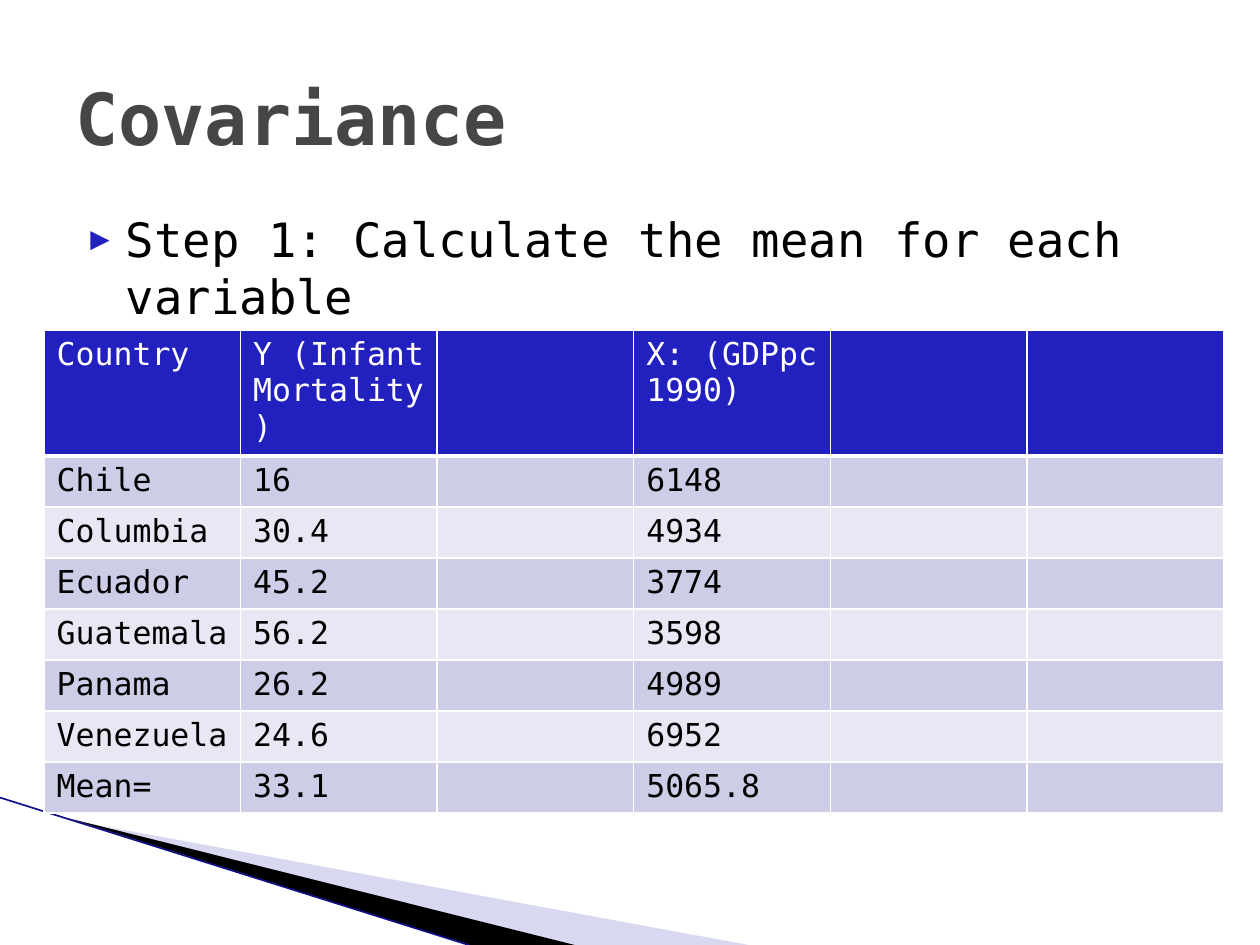
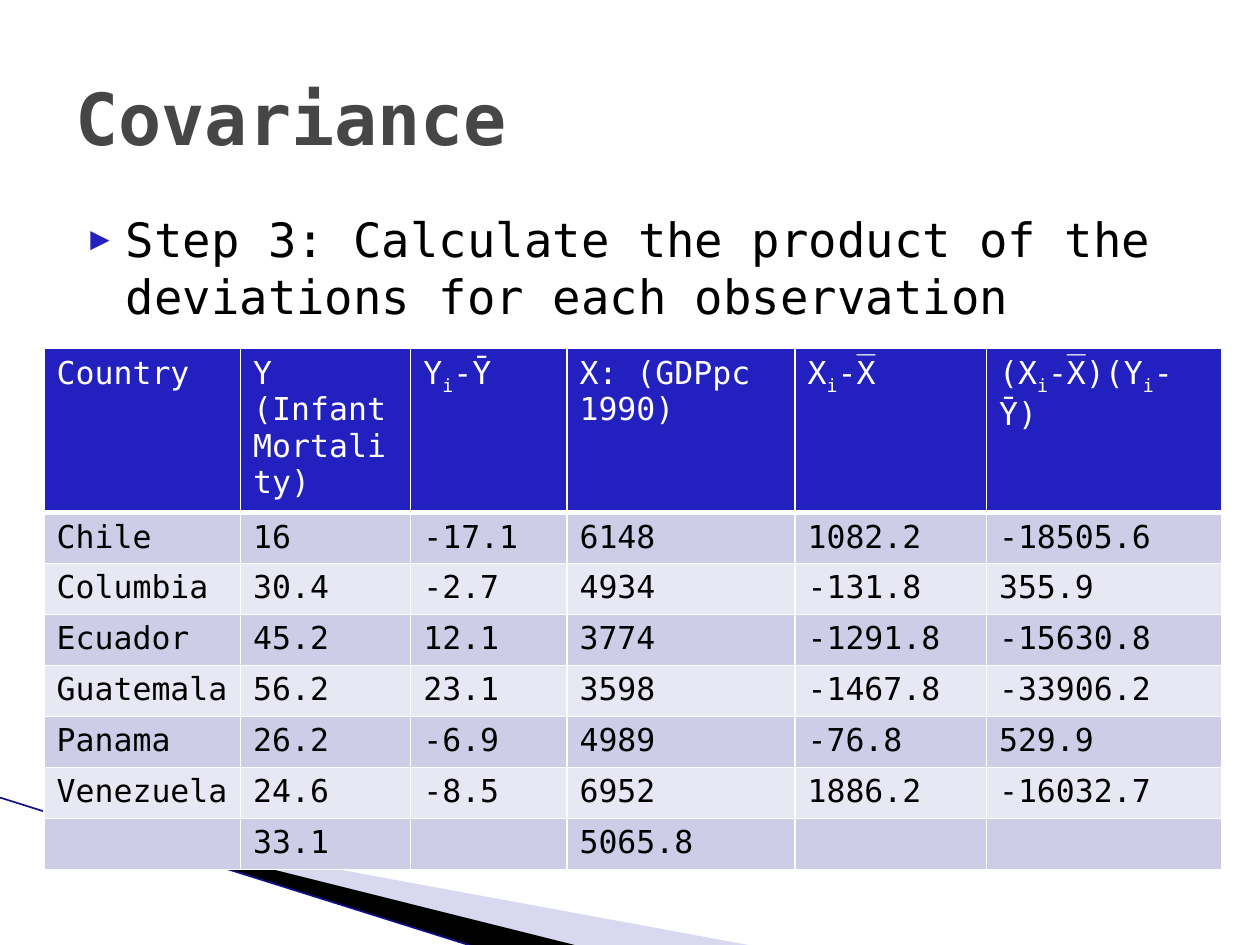
from dataclasses import dataclass

from lxml.etree import SubElement
from pptx import Presentation
from pptx.dml.color import RGBColor
from pptx.enum.shapes import MSO_CONNECTOR
from pptx.enum.text import MSO_ANCHOR
from pptx.oxml.ns import qn
from pptx.util import Inches, Pt

SLIDE_WIDTH, SLIDE_HEIGHT = Inches(10), Inches(7.5)
FONT = "DejaVu Sans Mono"
BLUE, LAVENDER, NAVY = "2221BF", "9F9FDC", "11108A"
BLACK, WHITE, GREY = "000000", "FFFFFF", "464646"
BANDS = ("CDCDE8", "E8E8F4")
ROW_HEIGHT = 0.054

COUNTRIES = [
    ("Chile", 16, 6148),
    ("Columbia", 30.4, 4934),
    ("Ecuador", 45.2, 3774),
    ("Guatemala", 56.2, 3598),
    ("Panama", 26.2, 4989),
    ("Venezuela", 24.6, 6952),
]
MEAN_Y, MEAN_X = 33.1, 5065.8
Y_HEADING, X_HEADING = "Y (Infant Mortality)", "X: (GDPpc 1990)"


@dataclass
class Box:
    left: float
    top: float
    width: float
    height: float

    def point(self, across, down):
        return (
            round(SLIDE_WIDTH * (self.left + across * self.width)),
            round(SLIDE_HEIGHT * (self.top + down * self.height)),
        )

    def frame(self):
        left, top = self.point(0, 0)
        right, bottom = self.point(1, 1)
        return left, top, right - left, bottom - top


TITLE_BOX = Box(0.05, 0.04, 0.9, 0.167)
STEP_BOX = Box(0.05, 0.216, 0.9, 0.66)
SWOOSH_BOX = Box(0, 0.844, 0.6, 0.156)


def color(value):
    return RGBColor.from_string(value)


def add_span(para, text, size, tint, bold=False, subscript=False):
    span = para.add_run()
    span.text = text
    span.font.name = FONT
    span.font.size = Pt(size)
    span.font.bold = bold
    span.font.color.rgb = color(tint)
    if subscript:
        span.font._element.set("baseline", "-25000")


def add_wedge(page, points, tint, opacity=100):
    builder = page.shapes.build_freeform(*points[0])
    builder.add_line_segments(points[1:], close=True)
    wedge = builder.convert_to_shape()
    wedge.shadow.inherit = False
    wedge.fill.solid()
    wedge.fill.fore_color.rgb = color(tint)
    wedge.line.fill.background()
    if opacity < 100:
        tone = wedge.fill._xPr.find(".//" + qn("a:srgbClr"))
        SubElement(tone, qn("a:alpha"), val=str(opacity * 1000))


def add_swoosh(page, box):
    light = [(0.09, 0.15), (0.99, 1), (0.76, 1)]
    dark = [(0.09, 0.14), (0.76, 1), (0.62, 1)]
    add_wedge(page, [box.point(*spot) for spot in light], LAVENDER, 40)
    add_wedge(page, [box.point(*spot) for spot in dark], BLACK)
    edge = page.shapes.add_connector(
        MSO_CONNECTOR.STRAIGHT, *box.point(0, 0), *box.point(0.62, 1)
    )
    edge.line.color.rgb = color(NAVY)
    edge.line.width = Pt(0.95)
    SubElement(edge._element.spPr, qn("a:effectLst"))


def add_text(page, box, anchor):
    frame = page.shapes.add_textbox(*box.frame()).text_frame
    frame.word_wrap = True
    frame.vertical_anchor = anchor
    return frame.paragraphs[0]


def add_title(page, box, text):
    add_span(add_text(page, box, MSO_ANCHOR.MIDDLE), text, 41, GREY, bold=True)


def add_step(page, box, text):
    para = add_text(page, box, MSO_ANCHOR.TOP)
    para.space_before = Pt(4)
    settings = para._p.get_or_add_pPr()
    settings.set("marL", str(Inches(0.4)))
    settings.set("indent", str(Inches(-0.28)))
    tint = SubElement(settings, qn("a:buClr"))
    SubElement(tint, qn("a:srgbClr"), val=BLUE)
    SubElement(settings, qn("a:buSzPct"), val="68000")
    SubElement(settings, qn("a:buFont"), typeface=FONT)
    SubElement(settings, qn("a:buChar"), char="▶")
    add_span(para, text, 27, BLACK)


def style_cell(cell, fill, bottom):
    settings = cell._tc.get_or_add_tcPr()
    for side, width in (("L", 1), ("R", 1), ("T", 1), ("B", bottom)):
        border = SubElement(settings, qn(f"a:ln{side}"), w=str(Pt(width)))
        solid = SubElement(border, qn("a:solidFill"))
        SubElement(solid, qn("a:srgbClr"), val=WHITE)
    cell.fill.solid()
    cell.fill.fore_color.rgb = color(fill)


def add_data_table(page, box, columns, header_height, rows):
    table = page.shapes.add_table(len(rows), len(columns), *box.frame()).table
    table.first_row = table.horz_banding = False
    for column, share in zip(table.columns, columns):
        column.width = round(SLIDE_WIDTH * share)
    for index, values in enumerate(rows):
        header = index == 0
        table.rows[index].height = round(
            SLIDE_HEIGHT * (header_height if header else ROW_HEIGHT)
        )
        fill = BLUE if header else BANDS[(index - 1) % 2]
        for cell, value in zip(table.rows[index].cells, values):
            style_cell(cell, fill, 3 if header else 1)
            para = cell.text_frame.paragraphs[0]
            para.font.size = Pt(18)
            spans = value if isinstance(value, tuple) else (value,)
            for place, text in enumerate(spans):
                if text:
                    add_span(para, text, 18, WHITE if header else BLACK,
                             subscript=place % 2 == 1)


def add_covariance_page(deck, step, top, columns, header_height, rows):
    page = deck.slides.add_slide(deck.slide_layouts[6])
    height = header_height + ROW_HEIGHT * (len(rows) - 1)
    add_swoosh(page, SWOOSH_BOX)
    add_step(page, STEP_BOX, step)
    add_title(page, TITLE_BOX, "Covariance")
    table_box = Box(0.035, top, sum(columns), height)
    add_data_table(page, table_box, columns, header_height, rows)


def mean_rows():
    heading = ["Country", Y_HEADING, "", X_HEADING, "", ""]
    body = [[name, str(y), "", str(x), "", ""] for name, y, x in COUNTRIES]
    return [heading, *body, ["Mean=", str(MEAN_Y), "", str(MEAN_X), "", ""]]


def product_rows():
    rows = [[
        "Country", Y_HEADING, ("Y", "i", "-Ȳ"), X_HEADING, ("X", "i", "-X̅"),
        ("(X", "i", "-X̅)(Y", "i", "-Ȳ)"),
    ]]
    for name, y, x in COUNTRIES:
        from_y, from_x = y - MEAN_Y, x - MEAN_X
        rows.append([name, str(y), f"{from_y:.1f}", str(x), f"{from_x:.1f}",
                     f"{from_x * from_y:.1f}"])
    return [*rows, ["", str(MEAN_Y), "", str(MEAN_X), "", ""]]


def main():
    deck = Presentation()
    deck.slide_width, deck.slide_height = SLIDE_WIDTH, SLIDE_HEIGHT
    add_covariance_page(
        deck, "Step 1: Calculate the mean for each variable",
        0.349, [0.156] * 6, 0.128, mean_rows(),
    )
    add_covariance_page(
        deck, "Step 3: Calculate the product of the deviations for each observation",
        0.369, [0.156, 0.135, 0.124, 0.181, 0.152, 0.187], 0.168, product_rows(),
    )
    deck.save("out.pptx")


if __name__ == "__main__":
    main()
